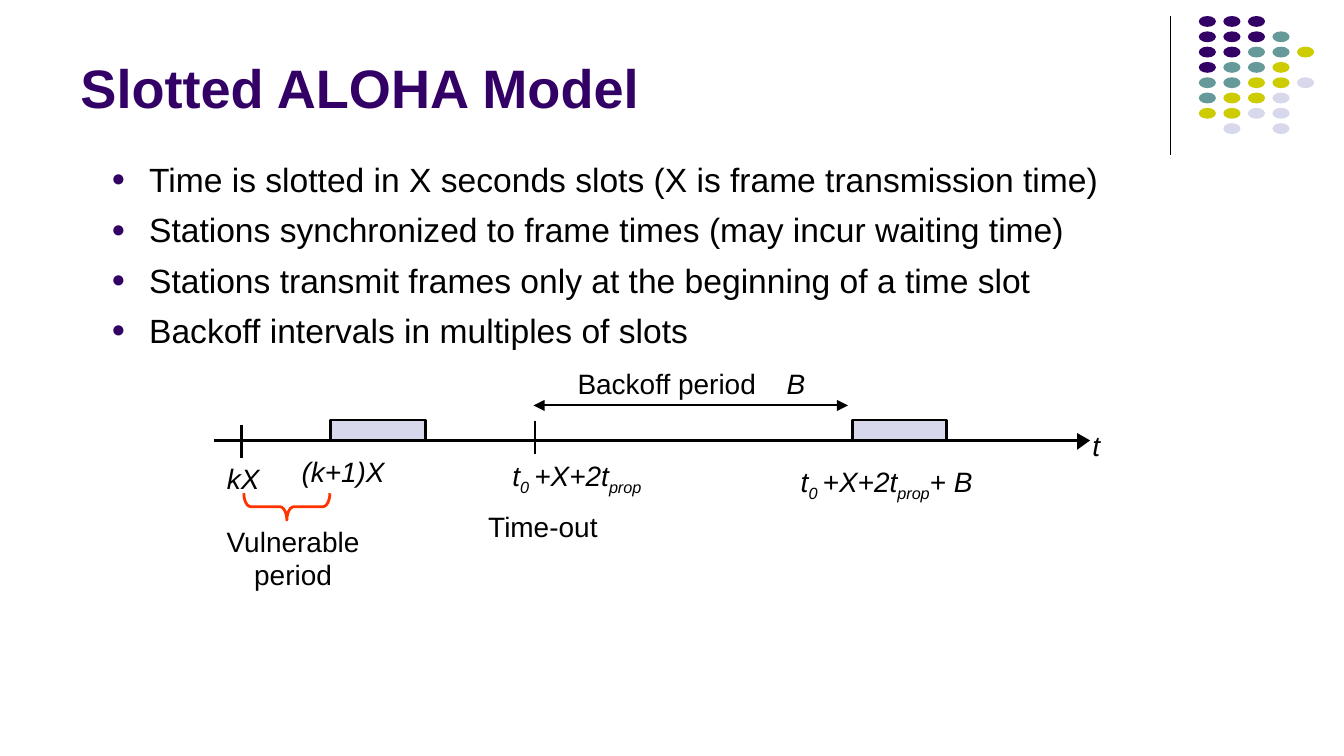
from lxml.etree import SubElement
from pptx import Presentation
from pptx.dml.color import RGBColor
from pptx.enum.shapes import MSO_CONNECTOR, MSO_SHAPE
from pptx.enum.text import MSO_ANCHOR, PP_ALIGN
from pptx.oxml.ns import qn
from pptx.util import Pt


def color(value):
    return RGBColor.from_string(value)


def add_text(left, top, width, height, spans, align=PP_ALIGN.CENTER, margin=(0, 0), **style):
    """Add a text box; each span is (text, format values), "\\n" breaks the line."""
    box = page.shapes.add_textbox(Pt(left), Pt(top), Pt(width), Pt(height))
    frame = box.text_frame
    frame.word_wrap = True
    frame.margin_left = frame.margin_right = Pt(margin[0])
    frame.margin_top = frame.margin_bottom = Pt(margin[1])
    para = frame.paragraphs[0]
    para.alignment = align
    for text, changes in spans:
        if text == "\n":
            para.add_line_break()
            continue
        span = para.add_run()
        span.text = text
        values = {"name": "Arial", "size": Pt(15)} | style | changes
        span.font.color.rgb = color(values.pop("color", "000000"))
        baseline = values.pop("baseline", None)
        for name, value in values.items():
            setattr(span.font, name, value)
        if baseline:
            span._r.get_or_add_rPr().set("baseline", baseline)
    return box


deck = Presentation()
deck.slide_width, deck.slide_height = Pt(720), Pt(405)
page = deck.slides.add_slide(deck.slide_layouts[6])

# Dot pattern in the corner
dot_colors = {"P": "330066", "T": "669999", "Y": "CCCC00", "L": "D8D8EC"}
dot_rows = ["PPP", "PPPT", "PPTTY", "PTTY", "TTYYL", "TYYL", "YYLL", " L L"]
for row, marks in enumerate(dot_rows):
    for column, mark in enumerate(marks):
        if mark in dot_colors:
            dot = page.shapes.add_shape(MSO_SHAPE.OVAL, Pt(642.2 + 13.15 * column),
                                        Pt(8.6 + 8.2 * row), Pt(9.2), Pt(5.8))
            dot.shadow.inherit = False
            dot.fill.solid()
            dot.fill.fore_color.rgb = color(dot_colors[mark])
            dot.line.fill.background()

# Title
title = add_text(36, 7.2, 594, 60.5, [("Slotted ALOHA Model", {})], PP_ALIGN.LEFT,
                 (7.2, 3.6), size=Pt(29), bold=True, color="330066")
title.text_frame.vertical_anchor = MSO_ANCHOR.BOTTOM

# Bulleted points
points = [
    "Time is slotted in X seconds slots (X is frame transmission time)",
    "Stations synchronized to frame times (may incur waiting time)",
    "Stations transmit frames only at the beginning of a time slot",
    "Backoff intervals in multiples of slots",
]
body = page.shapes.add_textbox(Pt(52.6), Pt(85.7), Pt(550), Pt(100)).text_frame
body.word_wrap = True
for index, point in enumerate(points):
    para = body.paragraphs[0] if index == 0 else body.add_paragraph()
    properties = para._p.get_or_add_pPr()
    properties.set("marL", str(Pt(20.2)))
    properties.set("indent", str(Pt(-20.2)))
    para.line_spacing = 0.8
    para.space_before = Pt(9.7 if index else 0)
    SubElement(SubElement(properties, qn("a:buClr")), qn("a:srgbClr"), val="330066")
    SubElement(properties, qn("a:buSzPct"), val="70000")
    SubElement(properties, qn("a:buFont"), typeface="Arial")
    SubElement(properties, qn("a:buChar"), char="●")
    span = para.add_run()
    span.text = point
    span.font.color.rgb = color("000000")
    for name, value in {"name": "Arial", "size": Pt(18)}.items():
        setattr(span.font, name, value)

# Corner rule, time axis, ticks and backoff arrow
lines = [
    (627.1, 8.6, 627.1, 82.8, 0.75, False),
    (114.5, 236.2, 579.6, 236.2, 1.5, False),
    (129.2, 227.5, 129.2, 245.5, 1.5, False),
    (286.6, 225.4, 286.6, 243.4, 1.5, False),
    (285.8, 217.2, 454.3, 217.2, 1, True),
]
for x1, y1, x2, y2, weight, arrows in lines:
    line = page.shapes.add_connector(MSO_CONNECTOR.STRAIGHT, Pt(x1), Pt(y1), Pt(x2), Pt(y2))
    line.line.color.rgb = color("000000")
    line.line.width = Pt(weight)
    if arrows:
        for end in ("a:headEnd", "a:tailEnd"):
            SubElement(line.line._get_or_add_ln(), qn(end), type="triangle")
    SubElement(line._element.spPr, qn("a:effectLst"))

# Axis arrowhead
builder = page.shapes.build_freeform(576.7, 241.2, scale=Pt(1))
builder.add_line_segments([(583.9, 236.4), (576.7, 232.2)], close=True)
arrowhead = builder.convert_to_shape()
arrowhead.shadow.inherit = False
arrowhead.fill.solid()
arrowhead.fill.fore_color.rgb = color("000000")
arrowhead.line.fill.background()

# Frames on the axis
for left in (177.1, 456.5):
    frame_box = page.shapes.add_shape(MSO_SHAPE.RECTANGLE, Pt(left), Pt(225), Pt(50.7), Pt(10.8))
    frame_box.shadow.inherit = False
    frame_box.fill.solid()
    frame_box.fill.fore_color.rgb = color("D8D8EC")
    frame_box.line.color.rgb = color("000000")
    frame_box.line.width = Pt(1.5)

# Brace under the vulnerable period
brace = page.shapes.add_shape(MSO_SHAPE.LEFT_BRACE, Pt(146.5), Pt(248.4), Pt(14.4), Pt(46.1))
brace.rotation = 270
brace.adjustments[0] = 0.26
brace.shadow.inherit = False
brace.fill.background()
brace.line.color.rgb = color("FF3300")
brace.line.width = Pt(1.5)

# Axis labels
add_text(581.3, 229.7, 12, 18, [("t", {})], italic=True)
add_text(155.3, 243.4, 57, 18, [("(k+1)X", {})], italic=True)
add_text(116.3, 247, 28, 18, [("kX", {})], italic=True)
add_text(121, 280.8, 72, 36, [("Vulnerable", {}), ("\n", {}), ("period", {})])
add_text(256.4, 272.9, 69, 18, [("Time-out", {})])

subscript = {"baseline": "-25000"}
timeout = [("t", {}), ("0", subscript), (" ", {"size": Pt(10)}),
           ("+X+2t", {}), ("prop", subscript)]
add_text(274.5, 245.5, 125.3, 18, timeout, PP_ALIGN.LEFT, italic=True)
add_text(429, 249.1, 124.6, 18, timeout + [("+ B", {})], PP_ALIGN.LEFT, italic=True)

# Backoff label with B set off by a tab stop
backoff = add_text(309.4, 196.6, 131, 18, [("Backoff period\t", {}), ("B", {"italic": True})],
                   PP_ALIGN.LEFT)
tabs = SubElement(backoff.text_frame.paragraphs[0]._p.get_or_add_pPr(), qn("a:tabLst"))
SubElement(tabs, qn("a:tab"), pos=str(Pt(112)), algn="l")

deck.save("out.pptx")
